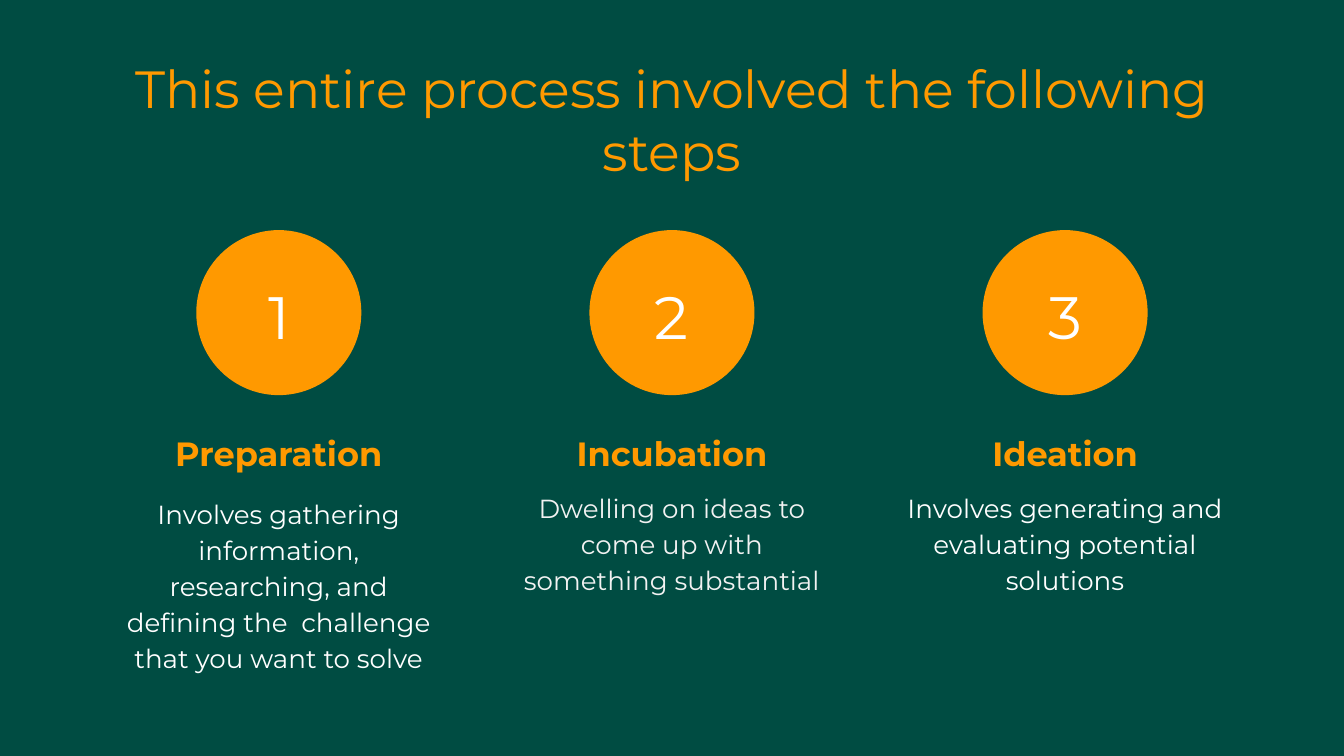
from typing import NamedTuple

from pptx import Presentation
from pptx.dml.color import RGBColor as Rgb
from pptx.enum.shapes import MSO_SHAPE as Kind
from pptx.enum.text import MSO_ANCHOR as Anchor, PP_ALIGN as Align
from pptx.util import Cm, Pt

FONT = "Montserrat"
COLOURS = {"back": "004C42", "accent": "FF9900", "white": "FFFFFF", "pale": "F2F2F2"}

# Lengths in centimetres
LEFT, WIDTH, PITCH = 1.98, 6.58, 7.43
DISC, DISC_TOP = 3.12, 4.35
NUM, NUM_TOP = 1.48, 5.22


class Box(NamedTuple):
    left: float
    top: float
    width: float
    height: float


class Style(NamedTuple):
    size: int
    colour: str
    bold: bool = False
    line: float = 1.0
    after: int = 0
    anchor: Anchor = Anchor.TOP


class Step(NamedTuple):
    name: str
    text: str
    top: float = 8.97
    colour: str = "white"


STEPS = [
    Step("Preparation", "Involves gathering information, researching, and "
         "defining the  challenge that you want to solve", top=9.09),
    Step("Incubation", "Dwelling on ideas to come up with something substantial",
         colour="pale"),
    Step("Ideation", "Involves generating and evaluating potential solutions"),
]
TITLE = Style(28, "accent")
NUMBER = Style(32, "white", anchor=Anchor.MIDDLE)
HEAD = Style(18, "accent", bold=True, line=1.15, after=16)
BODY = Style(14, "white", line=1.15, after=16)


def tint(name: str) -> Rgb:
    return Rgb.from_string(COLOURS[name])


def add_text(slide, box: Box, text: str, style: Style) -> None:
    frame = slide.shapes.add_textbox(*map(Cm, box)).text_frame
    frame.word_wrap = True
    frame.vertical_anchor = style.anchor
    frame.margin_left = frame.margin_right = Cm(0.25)
    frame.margin_top = frame.margin_bottom = Cm(0.25)
    frame.text = text
    para = frame.paragraphs[0]
    para.alignment = Align.CENTER
    para.line_spacing = style.line
    para.space_after = Pt(style.after)
    font = para.runs[0].font
    font.name, font.size, font.bold = FONT, Pt(style.size), style.bold
    font.color.rgb = tint(style.colour)


def add_disc(slide, box: Box) -> None:
    disc = slide.shapes.add_shape(Kind.OVAL, *map(Cm, box))
    disc.shadow.inherit = False
    disc.fill.solid()
    disc.fill.fore_color.rgb = tint("accent")
    disc.line.fill.background()


def add_step(slide, index: int, step: Step) -> None:
    left = LEFT + index * PITCH
    mid = left + WIDTH / 2
    add_disc(slide, Box(mid - DISC / 2, DISC_TOP, DISC, DISC))
    add_text(slide, Box(mid - NUM / 2, NUM_TOP, NUM, NUM), str(index + 1), NUMBER)
    add_text(slide, Box(left, 7.82, WIDTH, 1.6), step.name, HEAD)
    add_text(slide, Box(left, step.top, WIDTH, 3.33), step.text,
             BODY._replace(colour=step.colour))


def main() -> None:
    deck = Presentation()
    deck.slide_width, deck.slide_height = Cm(25.4), Cm(14.29)
    slide = deck.slides.add_slide(deck.slide_layouts[6])
    slide.background.fill.solid()
    slide.background.fill.fore_color.rgb = tint("back")
    add_text(slide, Box(LEFT, 0.81, 2 * PITCH + WIDTH, 1.6),
             "This entire process involved the following steps", TITLE)
    for index, step in enumerate(STEPS):
        add_step(slide, index, step)
    deck.save("out.pptx")


if __name__ == "__main__":
    main()
